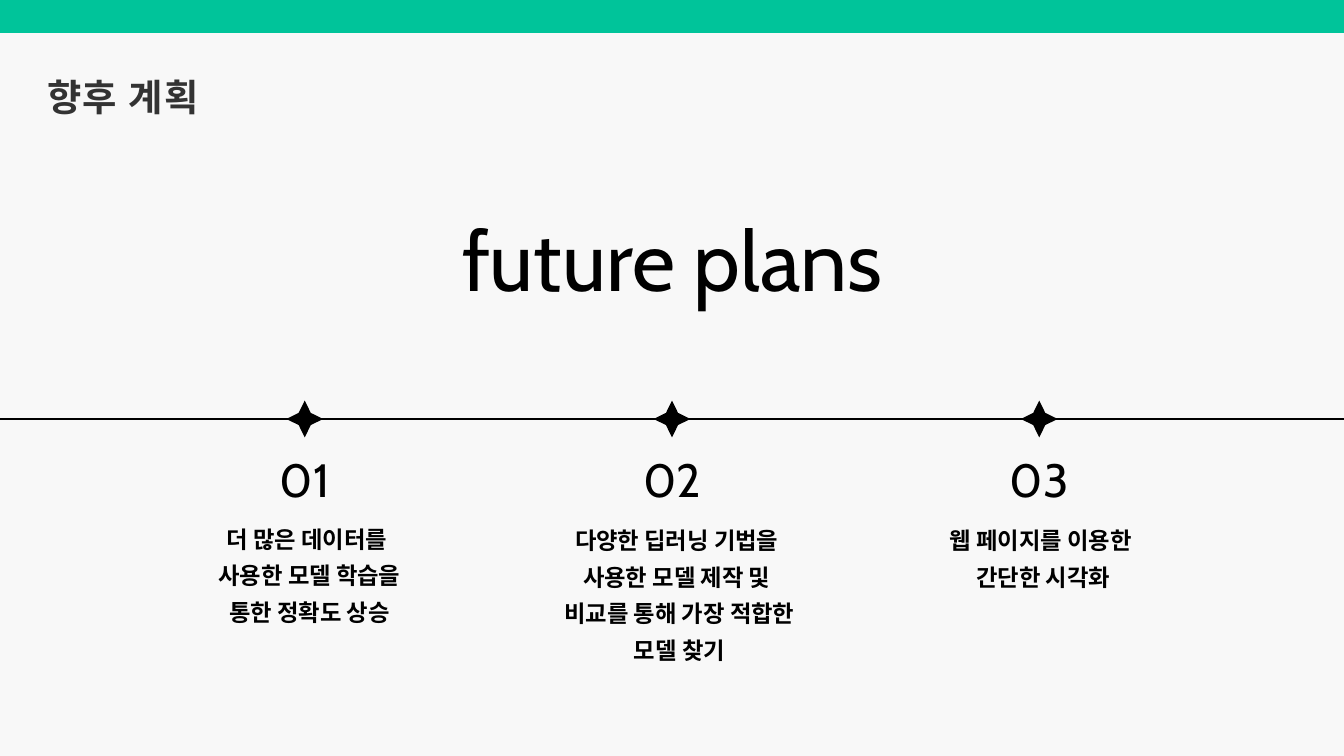
from dataclasses import dataclass

import pptx
import pptx.dml.color
import pptx.enum.shapes
import pptx.enum.text
import pptx.oxml.ns
import pptx.util
from lxml import etree
from pptx.util import Inches, Pt


@dataclass(frozen=True)
class Theme:
    background: str = "F8F8F8"
    accent: str = "00C49A"
    ink: str = "000000"
    heading_ink: str = "333333"
    latin: str = "Cabin"
    korean: str = "Noto Sans CJK KR"
    title_size: float = 90
    number_size: float = 50
    heading_size: float = 40
    body_size: float = 25


@dataclass(frozen=True)
class Box:
    left: float
    top: float
    width: float
    height: float

    @property
    def center(self):
        return self.left + self.width / 2

    def emu(self):
        return [Inches(value) for value in (self.left, self.top, self.width, self.height)]


THEME = Theme()
CENTER = pptx.enum.text.PP_ALIGN.CENTER
LEFT = pptx.enum.text.PP_ALIGN.LEFT

COLUMN_WIDTH = 3.77
COLUMN_PITCH = 5.465
# Number, description lines, description width, shift from the column centre, top
MILESTONES = [
    ("01", ["더 많은 데이터를 ", "사용한 모델 학습을 통한 정확도 상승"], 2.95, 0.07, 1.73),
    ("02", ["다양한 딥러닝 기법을 ", "사용한 모델 제작 및 ",
            "비교를 통해 가장 적합한 모델 찾기"], 3.77, 0.11, 1.75),
    ("03", ["웹 페이지를 이용한 ", "간단한 시각화"], 2.95, 0.06, 1.75),
]


def rgb(color):
    return pptx.dml.color.RGBColor.from_string(color)


def fill_plain(shape, color):
    shape.shadow.inherit = False
    shape.fill.solid()
    shape.fill.fore_color.rgb = rgb(color)
    shape.line.fill.background()


def add_text(slide, box, lines, font_name, size, spacing, color=THEME.ink,
             bold=False, alignment=CENTER, tracking=0):
    """Add a text box without insets; spacing is in points, tracking in 1/100 point."""
    frame = slide.shapes.add_textbox(*box.emu()).text_frame
    frame.word_wrap = True
    frame.margin_left = frame.margin_top = frame.margin_right = frame.margin_bottom = 0
    frame.text = "\n".join(lines)
    for paragraph in frame.paragraphs:
        paragraph.alignment = alignment
        paragraph.line_spacing = Pt(spacing)
        font = paragraph.font
        font.name, font.size, font.bold = font_name, Pt(size), bold
        font.color.rgb = rgb(color)
        properties = paragraph._p.pPr.find(pptx.oxml.ns.qn("a:defRPr"))
        if tracking:
            properties.set("spc", str(tracking))
        latin = properties.find(pptx.oxml.ns.qn("a:latin"))
        east_asian = etree.Element(pptx.oxml.ns.qn("a:ea"), typeface=font_name)
        latin.addnext(east_asian)


def add_header(slide, box):
    bar = slide.shapes.add_shape(
        pptx.enum.shapes.MSO_SHAPE.RECTANGLE,
        *Box(box.left, box.top, box.width, 0.49).emu())
    fill_plain(bar, THEME.accent)
    add_text(slide, Box(box.left + 0.7, box.top + 1.11, 11.58, 0.6), ["향후 계획"],
             THEME.korean, THEME.heading_size, 48, THEME.heading_ink,
             bold=True, alignment=LEFT, tracking=160)


def add_title(slide, box):
    add_text(slide, box, ["future plans"], THEME.latin, THEME.title_size, 87.3)


def add_star(slide, center_x, center_y, radius=0.275, notch=0.09):
    directions = [(0, -radius), (notch, -notch), (radius, 0), (notch, notch),
                  (0, radius), (-notch, notch), (-radius, 0), (-notch, -notch)]
    points = [(Inches(center_x + x), Inches(center_y + y)) for x, y in directions]
    builder = slide.shapes.build_freeform(*points[0])
    builder.add_line_segments(points[1:], close=True)
    fill_plain(builder.convert_to_shape(), THEME.ink)


def add_milestone(slide, box, number, lines, width, shift, top):
    """Place a star on the top middle of the box, with number and description below."""
    add_star(slide, box.center, box.top + 0.275)
    add_text(slide, Box(box.center - 1.2, box.top + 0.87, 2.4, 0.74), [number],
             THEME.latin, THEME.number_size, 51.5)
    add_text(slide, Box(box.center + shift - width / 2, box.top + top, width,
                        box.height - top),
             lines, THEME.korean, THEME.body_size, 39, bold=True)


def add_timeline(slide, box):
    axis_y = Inches(box.top + 0.275)
    axis = slide.shapes.add_connector(
        pptx.enum.shapes.MSO_CONNECTOR.STRAIGHT,
        Inches(box.left), axis_y, Inches(box.left + box.width), axis_y)
    axis.line.color.rgb = rgb(THEME.ink)
    axis.line.width = Pt(2.25)
    etree.SubElement(axis._element.spPr, pptx.oxml.ns.qn("a:effectLst"))

    first_center = box.center - COLUMN_PITCH * (len(MILESTONES) - 1) / 2
    for index, milestone in enumerate(MILESTONES):
        left = first_center + index * COLUMN_PITCH - COLUMN_WIDTH / 2
        add_milestone(slide, Box(left, box.top, COLUMN_WIDTH, box.height), *milestone)


def main():
    presentation = pptx.Presentation()
    presentation.slide_width = Inches(20)
    presentation.slide_height = Inches(11.25)
    slide = presentation.slides.add_slide(presentation.slide_layouts[6])
    slide.background.fill.solid()
    slide.background.fill.fore_color.rgb = rgb(THEME.background)

    add_header(slide, Box(0, 0, 20, 1.71))
    add_timeline(slide, Box(0, 5.96, 20, 3.89))
    add_title(slide, Box(5.18, 3.37, 9.65, 1.29))
    presentation.save("out.pptx")


if __name__ == "__main__":
    main()
